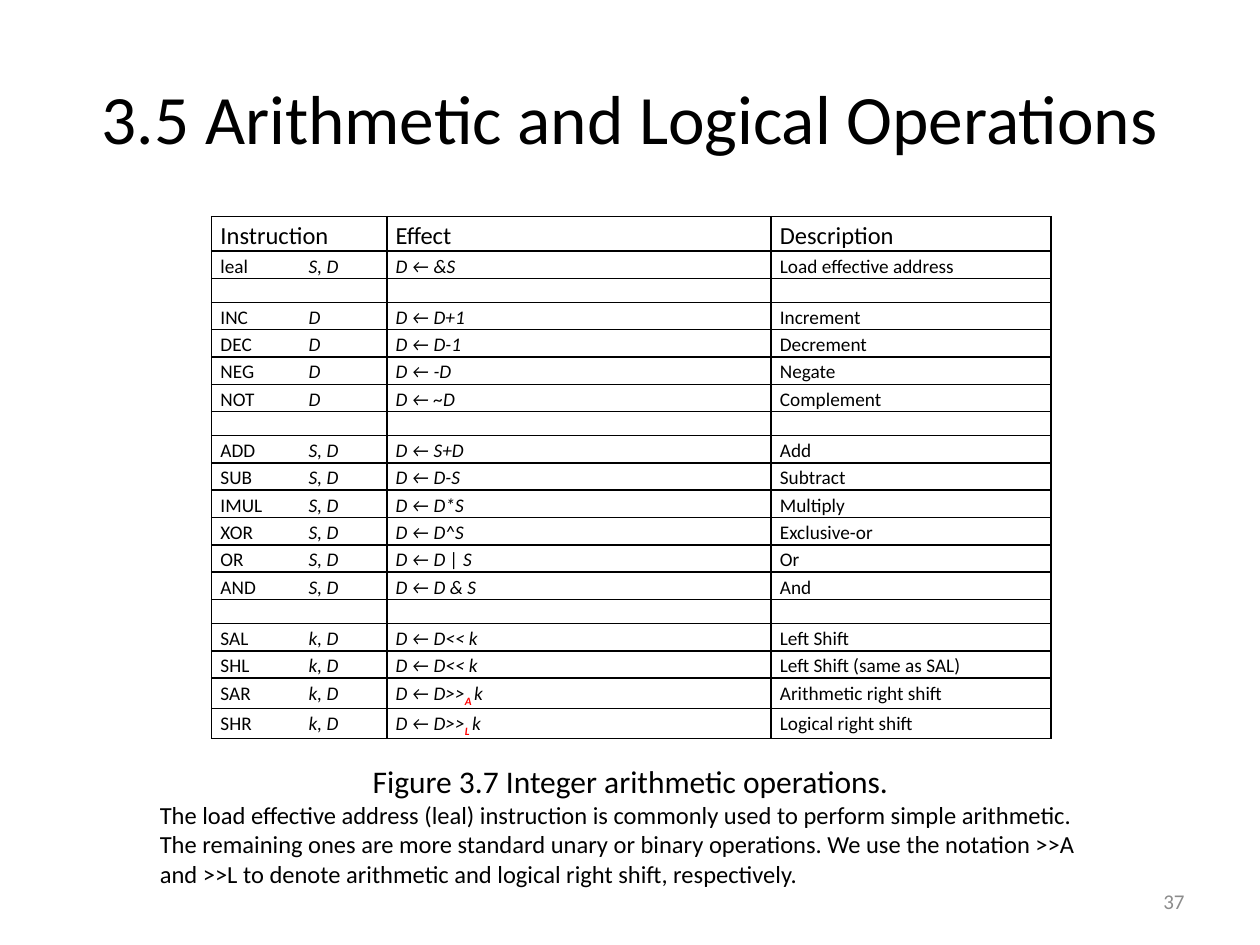
from lxml import etree
from pptx import Presentation
from pptx.dml.color import RGBColor
from pptx.enum import text
from pptx.oxml.ns import qn
from pptx.util import Inches, Pt

FONT = "Calibri"
BLACK, RED, GREY = "000000", "FF0000", "8C8C8C"
COLUMNS = (1.39, 3.05, 2.22)
HEADER = ("Instruction", "Effect", "Description")
# Mnemonic, operands, effect, description; underscores enclose a subscript.
GROUPS = (
    (("leal", "S, D", "D ← &S", "Load effective address"),),
    (
        ("INC", "D", "D ← D+1", "Increment"),
        ("DEC", "D", "D ← D-1", "Decrement"),
        ("NEG", "D", "D ← -D", "Negate"),
        ("NOT", "D", "D ← ~D", "Complement"),
    ),
    (
        ("ADD", "S, D", "D ← S+D", "Add"),
        ("SUB", "S, D", "D ← D-S", "Subtract"),
        ("IMUL", "S, D", "D ← D*S", "Multiply"),
        ("XOR", "S, D", "D ← D^S", "Exclusive-or"),
        ("OR", "S, D", "D ← D | S", "Or"),
        ("AND", "S, D", "D ← D & S", "And"),
    ),
    (
        ("SAL", "k, D", "D ← D<< k", "Left Shift"),
        ("SHL", "k, D", "D ← D<< k", "Left Shift (same as SAL)"),
        ("SAR", "k, D", "D ← D>>_A _k", "Arithmetic right shift"),
        ("SHR", "k, D", "D ← D>>_L _k", "Logical right shift"),
    ),
)
CAPTION = "Figure 3.7 Integer arithmetic operations."
EXPLANATION = (
    "The load effective address (leal) instruction is commonly used to perform "
    "simple arithmetic. The remaining ones are more standard unary or binary "
    "operations. We use the notation >>A and >>L to denote arithmetic and "
    "logical right shift, respectively."
)


def rgb(value):
    return RGBColor.from_string(value)


def style(p, size, color=BLACK, align=text.PP_ALIGN.LEFT):
    p.alignment = align
    p.font.name = FONT
    p.font.size = Pt(size)
    p.font.color.rgb = rgb(color)


def add_run(p, content, italic=None):
    r = p.add_run()
    r.text = content
    r.font.italic = italic
    return r


def add_title(slide, box):
    title = slide.shapes.title
    title.left, title.top, title.width, title.height = map(Inches, box)
    title.text_frame.vertical_anchor = text.MSO_ANCHOR.MIDDLE
    p = title.text_frame.paragraphs[0]
    p.text = "3.5 Arithmetic and Logical Operations"
    style(p, 39.6, align=text.PP_ALIGN.CENTER)


def add_text(slide, box, paragraphs, anchor=text.MSO_ANCHOR.TOP):
    """Fill a text box from (content, size, colour, alignment) tuples."""
    tf = slide.shapes.add_textbox(*map(Inches, box)).text_frame
    tf.word_wrap = True
    tf.vertical_anchor = anchor
    for i, (content, *look) in enumerate(paragraphs):
        p = tf.add_paragraph() if i else tf.paragraphs[0]
        p.text = content
        style(p, *look)


def format_cell(cell, size):
    """Give a cell its margins, borders and font; return its paragraph."""
    cell.margin_left = cell.margin_right = Inches(0.07)
    cell.margin_top = cell.margin_bottom = 0
    tc_pr = cell._tc.get_or_add_tcPr()
    for side in ("lnL", "lnR", "lnT", "lnB"):
        line = etree.SubElement(tc_pr, qn(f"a:{side}"), w=str(Pt(1)))
        fill = etree.SubElement(line, qn("a:solidFill"))
        etree.SubElement(fill, qn("a:srgbClr"), val=BLACK)
    cell.fill.background()
    p = cell.text_frame.paragraphs[0]
    style(p, size)
    return p


def write_instruction(p, mnemonic, operands):
    """Line the operands up at a tab stop."""
    tabs = etree.Element(qn("a:tabLst"))
    etree.SubElement(tabs, qn("a:tab"), pos=str(Inches(0.7)), algn="l")
    p._p.get_or_add_pPr().find(qn("a:defRPr")).addprevious(tabs)
    add_run(p, f"{mnemonic}\t")
    add_run(p, operands, italic=True)


def write_effect(p, effect):
    for i, part in enumerate(effect.split("_")):
        r = add_run(p, part, italic=True)
        if i == 1:
            r.font.bold = True
            r.font.color.rgb = rgb(RED)
            r.font._element.set("baseline", "-25000")


def row_height(row):
    if row is None:
        return 0.19
    if row is HEADER:
        return 0.27
    return 0.24 if "_" in row[2] else 0.21


def add_operations_table(slide, box):
    rows = [HEADER]
    for i, group in enumerate(GROUPS):
        rows += ([None] if i else []) + list(group)
    table = slide.shapes.add_table(len(rows), len(COLUMNS), *map(Inches, box)).table
    table.first_row = table.horz_banding = False
    for column, width in zip(table.columns, COLUMNS):
        column.width = Inches(width)
    for table_row, row in zip(table.rows, rows):
        table_row.height = Inches(row_height(row))
        size = 14 if row is HEADER else 11
        cells = [format_cell(cell, size) for cell in table_row.cells]
        if row is None:
            for p in cells:
                etree.SubElement(p._p, qn("a:endParaRPr"), sz=str(size * 100))
            continue
        for p in cells:
            p.line_spacing = 1.15
        if row is HEADER:
            for p, label in zip(cells, row):
                add_run(p, label)
        else:
            mnemonic, operands, effect, description = row
            write_instruction(cells[0], mnemonic, operands)
            write_effect(cells[1], effect)
            add_run(cells[2], description)


def main():
    prs = Presentation()
    prs.slide_width, prs.slide_height = Inches(10), Inches(7.5)
    slide = prs.slides.add_slide(prs.slide_layouts[5])
    align = text.PP_ALIGN
    add_title(slide, (0.5, 0.3, 9, 1.25))
    add_operations_table(slide, (1.68, 1.72, sum(COLUMNS), 4.06))
    add_text(slide, (1.17, 6, 7.67, 1.11), (
        (CAPTION, 18, BLACK, align.CENTER),
        (EXPLANATION, 14, BLACK, align.LEFT),
    ))
    add_text(slide, (7.17, 6.95, 2.33, 0.4), (("37", 12, GREY, align.RIGHT),),
             text.MSO_ANCHOR.MIDDLE)
    prs.save("out.pptx")


if __name__ == "__main__":
    main()
